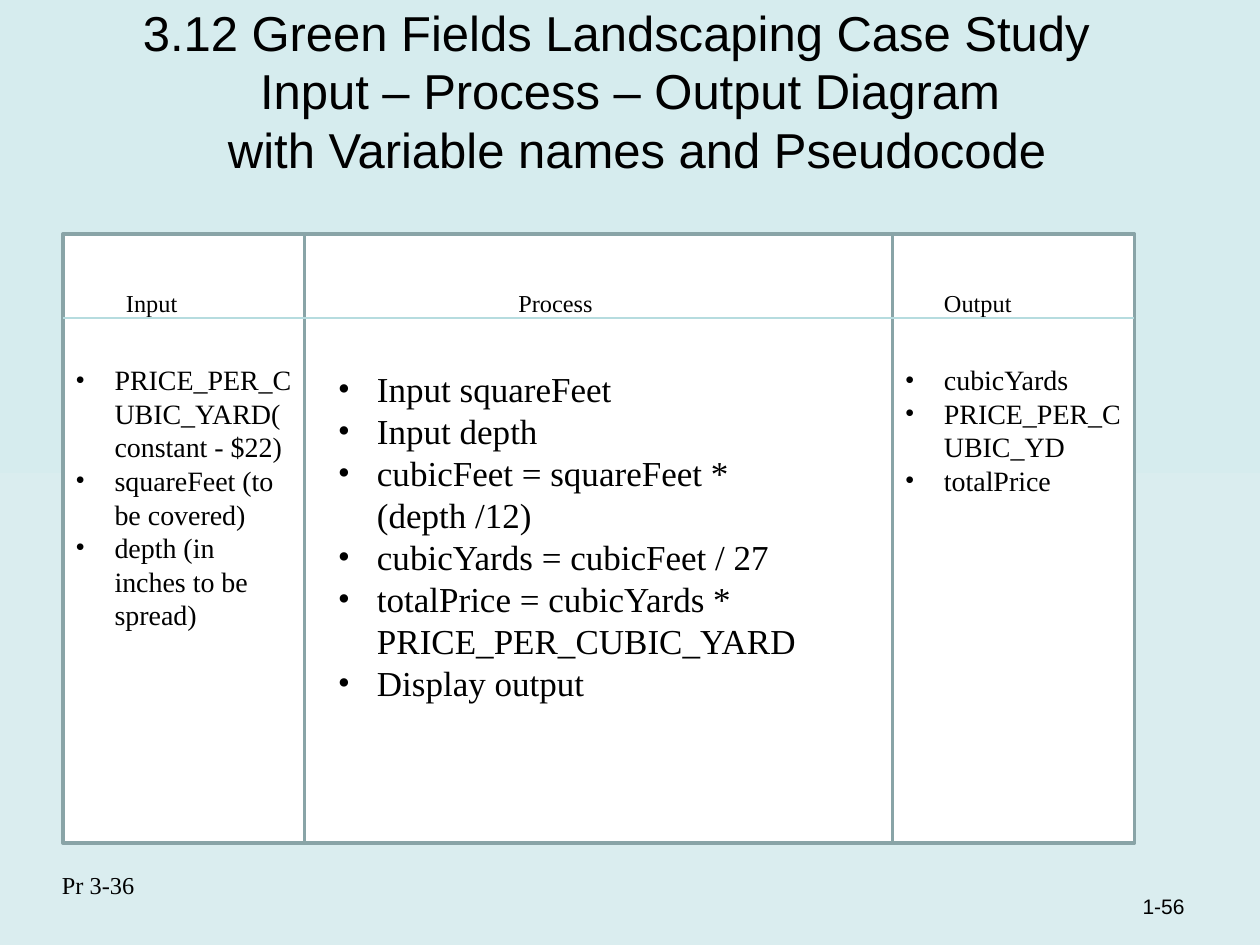
from dataclasses import dataclass

from lxml import etree
from pptx import Presentation
from pptx import util as u
from pptx.dml.color import RGBColor
from pptx.enum import shapes, text
from pptx.oxml import ns

COLOURS = {
    "ground_bottom": "DAEDEF",
    "ground_top": "D6ECEE",
    "panel": "FFFFFF",
    "border": "89A4A7",
    "rule": "B6DCDF",
    "ink": "000000",
}
SANS, SERIF = "Arial", "Times New Roman"
PANEL_TOP, PANEL_HEIGHT = 4.72, 12.28
RULE_Y = 6.41
LABEL_TOP, LABEL_WIDTH, LABEL_HEIGHT = 5.11, 2.6, 1.42
INDENT = 0.79


@dataclass
class Column:
    heading: str
    left: float
    width: float
    heading_left: float
    list_box: tuple[float, float, float, float]
    size: int
    items: list[str]


@dataclass
class TitleLine:
    words: str
    left_margin: float = 0
    right_margin: float = 0


COLUMNS = [
    Column("Input", 1.27, 4.87, 2.29, (1.27, 7.19, 4.87, 5.69), 16,
           ["PRICE_PER_CUBIC_YARD(constant - $22)",
            "squareFeet (to be covered)",
            "depth (in inches to be spread)"]),
    Column("Process", 6.14, 11.85, 10.2, (6.56, 7.29, 10.58, 7.04), 20,
           ["Input squareFeet",
            "Input depth",
            "cubicFeet = squareFeet * (depth /12)",
            "cubicYards = cubicFeet / 27",
            "totalPrice = cubicYards * PRICE_PER_CUBIC_YARD",
            "Display output"]),
    Column("Output", 17.99, 4.88, 18.78, (17.99, 7.19, 4.88, 2.97), 16,
           ["cubicYards", "PRICE_PER_CUBIC_YD", "totalPrice"]),
]
TITLE = [
    TitleLine("3.12 Green Fields Landscaping Case Study", right_margin=0.56),
    TitleLine("Input – Process – Output Diagram"),
    TitleLine("with Variable names and Pseudocode", left_margin=0.28),
]


def colour(name: str) -> RGBColor:
    return RGBColor.from_string(COLOURS[name])


def add_box(page, left: float, top: float, width: float, height: float):
    box = page.shapes.add_textbox(u.Cm(left), u.Cm(top), u.Cm(width), u.Cm(height))
    box.text_frame.word_wrap = True
    return box


def next_para(frame, index: int):
    """Return the frame's first paragraph for index 0, else a new one."""
    return frame.paragraphs[0] if index == 0 else frame.add_paragraph()


def add_span(para, words: str, font: str, size: int):
    span = para.add_run()
    span.text = words
    span.font.name = font
    span.font.size = u.Pt(size)
    span.font.color.rgb = colour("ink")
    return span


def set_bullet(para) -> None:
    properties = para._p.get_or_add_pPr()
    properties.set("marL", str(u.Cm(INDENT)))
    properties.set("indent", str(-u.Cm(INDENT)))
    etree.SubElement(properties, ns.qn("a:buFont"), typeface=SERIF)
    etree.SubElement(properties, ns.qn("a:buChar"), char="•")


def add_title(page) -> None:
    frame = add_box(page, 0, 0.75, 25.4, 2.85).text_frame
    frame.vertical_anchor = text.MSO_ANCHOR.BOTTOM
    frame.margin_left = frame.margin_right = frame.margin_top = frame.margin_bottom = 0
    for index, line in enumerate(TITLE):
        para = next_para(frame, index)
        para.alignment = text.PP_ALIGN.CENTER
        properties = para._p.get_or_add_pPr()
        properties.set("marL", str(u.Cm(line.left_margin)))
        properties.set("marR", str(u.Cm(line.right_margin)))
        add_span(para, line.words, SANS, 28)


def add_label(page, words: str, left: float, top: float) -> None:
    """Add a one-line serif label set as a subscript."""
    box = add_box(page, left, top, LABEL_WIDTH, LABEL_HEIGHT)
    span = add_span(box.text_frame.paragraphs[0], words, SERIF, 24)
    span._r.get_or_add_rPr().set("baseline", "-25000")


def add_panel(page, column: Column) -> None:
    panel = page.shapes.add_shape(
        shapes.MSO_SHAPE.RECTANGLE, u.Cm(column.left), u.Cm(PANEL_TOP),
        u.Cm(column.width), u.Cm(PANEL_HEIGHT))
    panel.shadow.inherit = False
    panel.fill.solid()
    panel.fill.fore_color.rgb = colour("panel")
    panel.line.color.rgb = colour("border")
    panel.line.width = u.Pt(2)


def add_rule(page) -> None:
    first, last = COLUMNS[0], COLUMNS[-1]
    rule = page.shapes.add_connector(
        shapes.MSO_CONNECTOR.STRAIGHT, u.Cm(first.left), u.Cm(RULE_Y),
        u.Cm(last.left + last.width), u.Cm(RULE_Y))
    rule.line.color.rgb = colour("rule")
    rule.line.width = u.Pt(0.75)
    etree.SubElement(rule._element.spPr, ns.qn("a:effectLst"))


def add_list(page, column: Column) -> None:
    frame = add_box(page, *column.list_box).text_frame
    for index, item in enumerate(column.items):
        para = next_para(frame, index)
        set_bullet(para)
        add_span(para, item, SERIF, column.size)


def add_page_number(page) -> None:
    frame = add_box(page, 18.85, 17.37, 5.28, 1.27).text_frame
    frame.vertical_anchor = text.MSO_ANCHOR.BOTTOM
    para = frame.paragraphs[0]
    para.alignment = text.PP_ALIGN.RIGHT
    add_span(para, "1-56", SANS, 12)


def paint_background(page) -> None:
    fill = page.background.fill
    fill.gradient()
    fill.gradient_angle = 90
    for stop, name in zip(fill.gradient_stops, ("ground_bottom", "ground_top")):
        stop.color.rgb = colour(name)


def main() -> None:
    deck = Presentation()
    deck.slide_width, deck.slide_height = u.Cm(25.4), u.Cm(19.05)
    page = deck.slides.add_slide(deck.slide_layouts[6])
    paint_background(page)
    add_title(page)
    add_page_number(page)
    for column in COLUMNS:
        add_panel(page, column)
    for column in COLUMNS:
        add_label(page, column.heading, column.heading_left, LABEL_TOP)
    add_rule(page)
    for column in COLUMNS:
        add_list(page, column)
    add_label(page, "Pr 3-36", 1, 16.84)
    deck.save("out.pptx")


if __name__ == "__main__":
    main()
